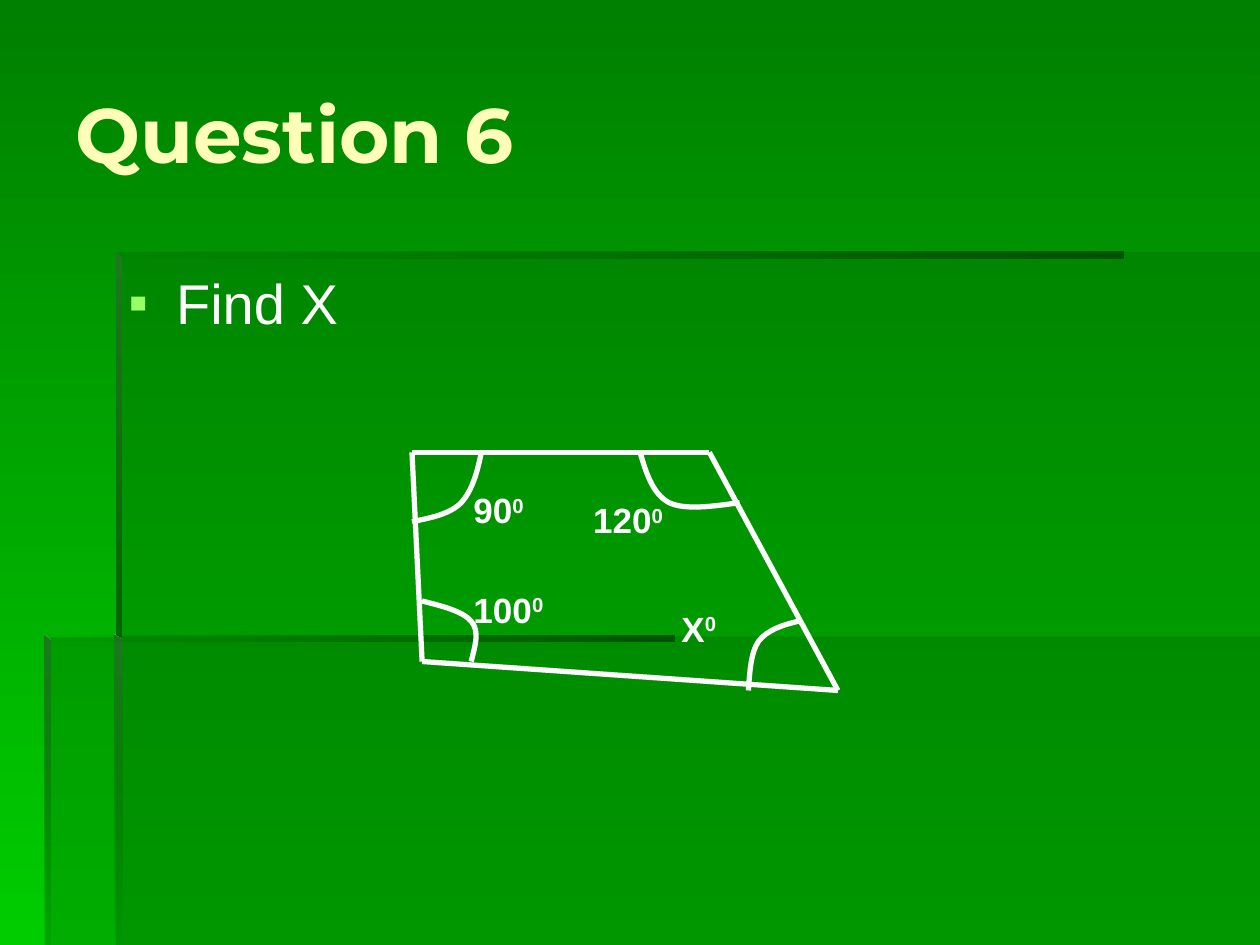
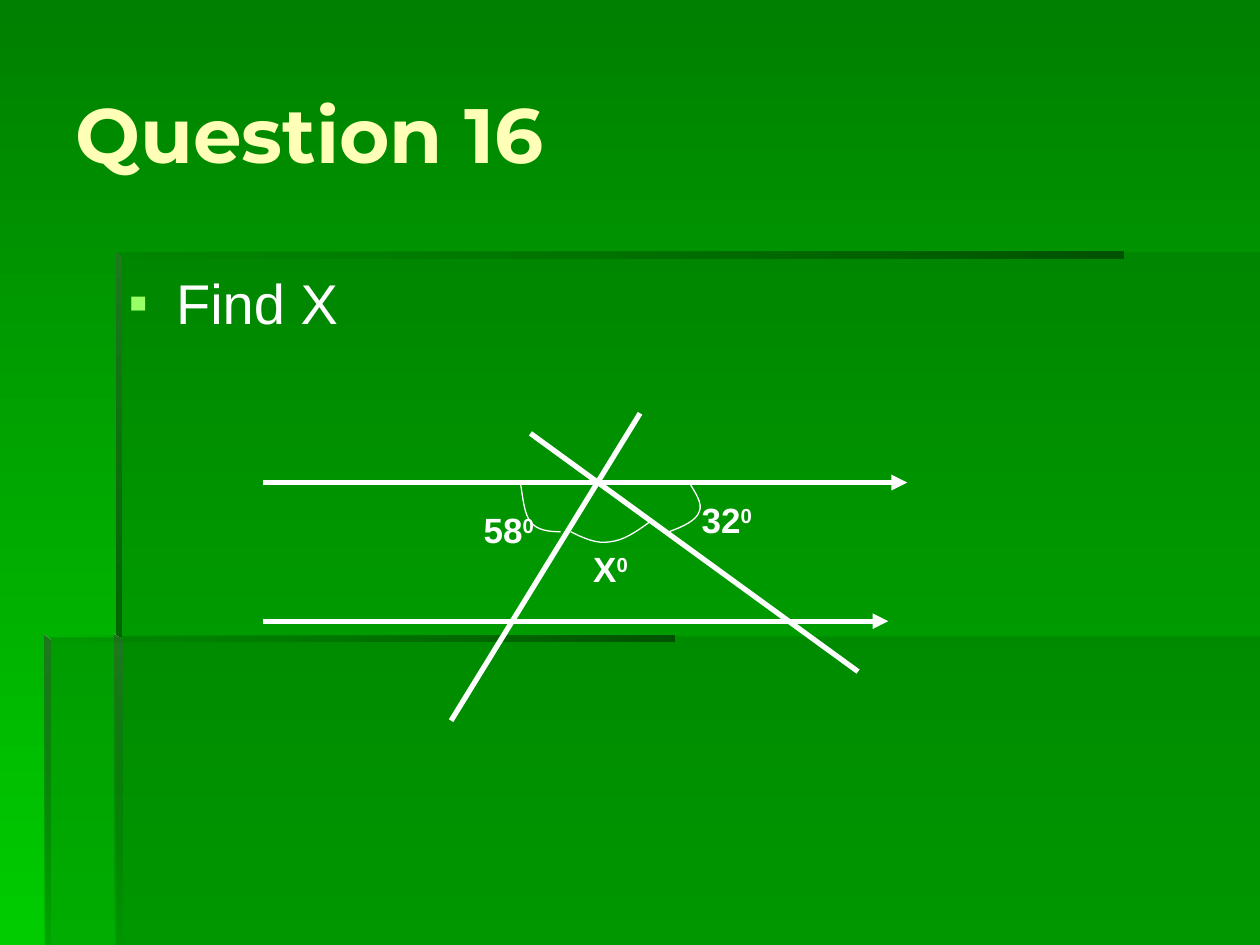
from itertools import pairwise

from lxml.etree import SubElement
from pptx import Presentation
from pptx.dml.color import RGBColor
from pptx.enum.shapes import MSO_CONNECTOR
from pptx.enum.text import MSO_ANCHOR, MSO_AUTO_SIZE
from pptx.oxml.ns import qn
from pptx.util import Inches, Pt

# Shared look
TITLE_FONT, BODY_FONT = "Montserrat", "Arial"
WHITE, CREAM, LIME = "FFFFFF", "FFFFB7", "99FF66"
SHADE, DARK, EDGE = "006600", "005300", "1E781E"
PAGE_TOP, PAGE_BOTTOM = "008000", "00CC00"
DOWN, LEFTWARD = 270, 180  # counter-clockwise gradient angles
THICK, THIN = 3, 0.75

# Panels: outline, opacity in percent
PANELS = [
    ([(0.92, 5.05), (0.92, 7.5), (10, 7.5), (10, 5.05)], 30),
    ([(0.94, 5.06), (0.36, 5.06), (0.36, 7.5), (10, 7.5), (10, 2), (0.94, 2)], 30),
]
# Bevelled edges: outline, start colour, angle, opacity of the far end
EDGES = [
    ([(0.92, 2), (0.92, 2.05), (8.92, 2.05), (8.92, 2)], DARK, LEFTWARD, 0),
    ([(0.92, 2), (0.92, 5.1), (0.97, 5.1), (0.97, 2.04)], EDGE, DOWN, 100),
    ([(0.91, 7.5), (0.97, 7.5), (0.97, 5.08), (0.91, 5.04)], EDGE, DOWN, 0),
    ([(0.35, 5.04), (0.35, 5.09), (5.35, 5.09), (5.35, 5.04)], DARK, LEFTWARD, 0),
    ([(0.35, 5.04), (0.35, 7.5), (0.4, 7.5), (0.4, 5.09)], EDGE, DOWN, 10),
]

# Questions: each arc is a start point followed by Bezier triples
CORNERS = [(3.27, 3.59), (5.63, 3.59), (6.65, 5.48), (3.35, 5.25)]
QUESTIONS = [
    {
        "title": "Question 6",
        "task": "Find X",
        "lines": list(pairwise(CORNERS + CORNERS[:1])),
        "arrows": [],
        "arc_width": THICK,
        "arcs": [
            [(3.82, 3.59), (3.79, 3.74), (3.75, 3.89), (3.66, 3.99),
             (3.57, 4.08), (3.42, 4.11), (3.27, 4.14)],
            [(5.08, 3.59), (5.13, 3.76), (5.18, 3.92), (5.31, 3.99),
             (5.44, 4.05), (5.65, 4.02), (5.87, 3.99)],
            [(3.35, 4.77), (3.51, 4.81), (3.67, 4.85), (3.74, 4.93),
             (3.81, 5.01), (3.77, 5.13), (3.74, 5.25)],
            [(6.34, 4.93), (6.21, 4.96), (6.09, 5), (6.02, 5.09),
             (5.96, 5.18), (5.95, 5.33), (5.94, 5.48)],
        ],
        "angles": [("90", 3.66, 3.83, 0.63), ("120", 4.61, 3.91, 0.86),
                   ("100", 3.66, 4.62, 0.94), ("X", 5.31, 4.77, 0.63)],
    },
    {
        "title": "Question 16",
        "task": "Find X",
        "lines": [((5.08, 3.28), (3.58, 5.72)), ((4.21, 3.44), (6.81, 5.33))],
        "arrows": [((2.09, 3.83), (7.2, 3.83)), ((2.09, 4.93), (7.05, 4.93))],
        "arc_width": THIN,
        "arcs": [
            [(4.13, 3.83), (4.15, 3.95), (4.16, 4.08), (4.21, 4.14),
             (4.26, 4.21), (4.36, 4.22), (4.45, 4.22)],
            [(4.53, 4.22), (4.63, 4.27), (4.74, 4.32), (4.84, 4.3),
             (4.95, 4.29), (5.05, 4.22), (5.16, 4.14)],
            [(5.47, 3.83), (5.52, 3.91), (5.58, 4), (5.55, 4.06),
             (5.53, 4.13), (5.42, 4.18), (5.31, 4.22)],
        ],
        "angles": [("58", 3.74, 3.99, 0.63), ("X", 4.61, 4.3, 0.63),
                   ("32", 5.47, 3.91, 0.63)],
    },
]


def color(value):
    return RGBColor.from_string(value)


def paint_gradient(fill, start, end, angle):
    fill.gradient()
    fill.gradient_angle = angle
    for stop, value, place in zip(fill.gradient_stops, (start, end), (0, 1)):
        stop.color.rgb = color(value)
        stop.position = place


def set_opacity(shape, percent):
    """Apply opacity to the last fill colour of a shape."""
    last = list(shape._element.spPr.iter(qn("a:srgbClr")))[-1]
    SubElement(last, qn("a:alpha"), val=str(percent * 1000))


def add_outline(page, points, close=True):
    points = [(Inches(x), Inches(y)) for x, y in points]
    builder = page.shapes.build_freeform(*points[0])
    builder.add_line_segments(points[1:], close=close)
    shape = builder.convert_to_shape()
    shape.shadow.inherit = False
    return shape


def set_stroke(line, width):
    line.color.rgb = color(WHITE)
    line.width = Pt(width)


def add_backdrop(page):
    paint_gradient(page.background.fill, PAGE_TOP, PAGE_BOTTOM, DOWN)
    for points, opacity in PANELS:
        panel = add_outline(page, points)
        panel.fill.solid()
        panel.fill.fore_color.rgb = color(SHADE)
        set_opacity(panel, opacity)
        panel.line.fill.background()
    for points, start, angle, opacity in EDGES:
        edge = add_outline(page, points)
        paint_gradient(edge.fill, start, SHADE, angle)
        set_opacity(edge, opacity)
        edge.line.fill.background()


def add_text(page, text, area, size, font=BODY_FONT, ink=WHITE, bold=False):
    box = page.shapes.add_textbox(*map(Inches, area))
    box.text_frame.word_wrap = True
    para = box.text_frame.paragraphs[0]
    para.add_run().text = text
    para.font.name = font
    para.font.size = Pt(size)
    para.font.bold = bold
    para.font.color.rgb = color(ink)
    return box.text_frame, para


def add_title(page, text):
    frame, _ = add_text(page, text, (0.5, 0.27, 9.17, 1.57), 44, TITLE_FONT, CREAM, True)
    frame.vertical_anchor = MSO_ANCHOR.MIDDLE


def add_task(page, text):
    _, para = add_text(page, text, (0.92, 2.08, 8.76, 4.58), 32)
    para.space_before = Pt(8)
    # Hanging square bullet
    props = para._p.get_or_add_pPr()
    props.set("marL", str(Inches(0.38)))
    props.set("indent", str(-Inches(0.38)))
    bullet = [SubElement(props, qn(tag)) for tag in ("a:buClr", "a:buFont", "a:buChar")]
    SubElement(bullet[0], qn("a:srgbClr"), val=LIME)
    bullet[1].set("typeface", BODY_FONT)
    bullet[2].set("char", "▪")
    # Default run properties must follow the bullet
    props.append(props.find(qn("a:defRPr")))


def add_angle(page, text, left, top, width):
    frame, para = add_text(page, text, (left, top, width, 0.44), 20, bold=True)
    frame.auto_size = MSO_AUTO_SIZE.SHAPE_TO_FIT_TEXT
    para.space_before = Pt(12.5)
    degree = para.add_run()
    degree.text = "0"
    degree.font._element.set("baseline", "30000")


def add_line(page, start, end, arrow=False):
    ends = map(Inches, (*start, *end))
    line = page.shapes.add_connector(MSO_CONNECTOR.STRAIGHT, *ends)
    set_stroke(line.line, THICK)
    if arrow:
        SubElement(line.line._get_or_add_ln(), qn("a:tailEnd"), type="triangle")
    SubElement(line._element.spPr, qn("a:effectLst"))


def add_arc(page, points, width):
    arc = add_outline(page, points, close=False)
    arc.fill.background()
    set_stroke(arc.line, width)
    # Join each three straight steps into one Bezier curve
    track = next(arc._element.iter(qn("a:path")))
    steps = track.findall(qn("a:lnTo"))
    for first in range(0, len(steps), 3):
        curve = SubElement(track, qn("a:cubicBezTo"))
        for step in steps[first:first + 3]:
            curve.append(step[0])
            track.remove(step)


def add_question(deck, question):
    page = deck.slides.add_slide(deck.slide_layouts[6])
    add_backdrop(page)
    add_title(page, question["title"])
    add_task(page, question["task"])
    for start, end in question["arrows"]:
        add_line(page, start, end, arrow=True)
    for start, end in question["lines"]:
        add_line(page, start, end)
    for points in question["arcs"]:
        add_arc(page, points, question["arc_width"])
    for angle in question["angles"]:
        add_angle(page, *angle)


def main():
    deck = Presentation()
    deck.slide_width, deck.slide_height = Inches(10), Inches(7.5)
    for question in QUESTIONS:
        add_question(deck, question)
    deck.save("out.pptx")


if __name__ == "__main__":
    main()
